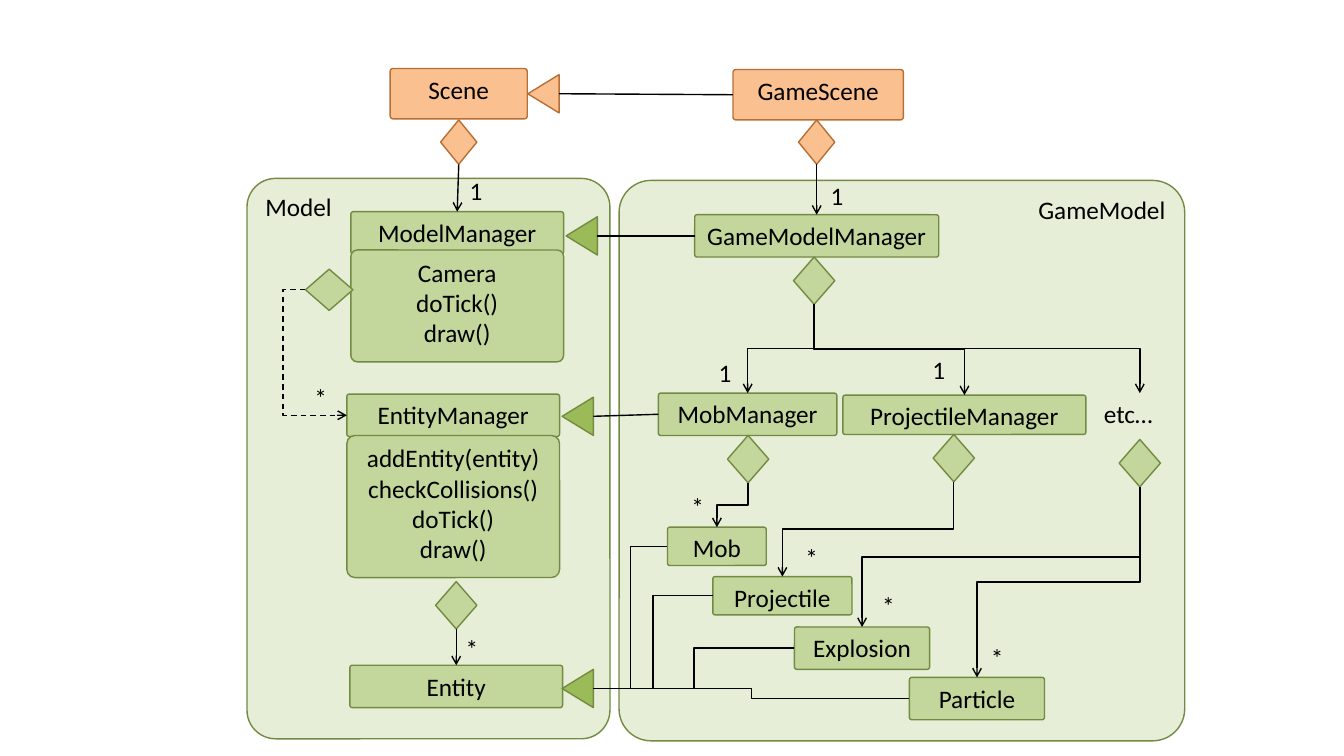
from pptx import Presentation
from pptx.util import Inches, Pt
from pptx.dml.color import RGBColor
from pptx.enum.dml import MSO_LINE
from pptx.enum.shapes import MSO_SHAPE, MSO_CONNECTOR
from pptx.enum.text import PP_ALIGN, MSO_ANCHOR, MSO_AUTO_SIZE
from pptx.oxml.ns import qn
from lxml.etree import SubElement

HUES = {"green": "C3D69B", "leaf": "9BBB59", "moss": "738A42",
        "peach": "FAC090", "rust": "B76F34", "ink": "000000"}
EDGE = {"green": "moss", "leaf": "moss", "peach": "rust"}
FONT = {"name": "Calibri", "size": Pt(18)}
FRAME = {"word_wrap": True, "vertical_anchor": MSO_ANCHOR.TOP}
CELL = Inches(0.1)  # one column or row of the grid


def apply(item, style):
    for key, value in style.items():
        setattr(item, key, value)


def hue(name):
    return RGBColor.from_string(HUES[name])


def span(*cells):
    return [round(c * CELL) for c in cells]


def port(shape, side):
    """Middle of one side of a shape as it shows, in EMU."""
    x, y = shape.left + shape.width / 2, shape.top + shape.height / 2
    turned = shape.rotation % 180 == 90
    wide, high = (shape.height, shape.width) if turned else (shape.width, shape.height)
    dx, dy = {"left": (-1, 0), "right": (1, 0), "top": (0, -1), "bottom": (0, 1)}[side]
    return x + dx * wide / 2, y + dy * high / 2


class Chart:
    def __init__(self, slide):
        self.slide = slide

    def text(self, shape, lines, align, **extra):
        frame = shape.text_frame
        apply(frame, {**FRAME, **extra})
        frame.text = "\n".join(lines)
        for para in frame.paragraphs:
            para.alignment = align
            apply(para.font, FONT)
            para.font.color.rgb = hue("ink")

    def shape(self, kind, place, fill):
        item = self.slide.shapes.add_shape(kind, *span(*place))
        item.shadow.inherit = False
        item.fill.solid()
        item.fill.fore_color.rgb = hue(fill)
        item.line.color.rgb = hue(EDGE[fill])
        item.line.width = Pt(1)
        return item

    def box(self, place, *lines, fill="green", align=PP_ALIGN.CENTER, curve=0.057):
        item = self.shape(MSO_SHAPE.ROUNDED_RECTANGLE, place, fill)
        item.adjustments[0] = curve
        self.text(item, lines, align)
        return item

    def panel(self, place, name, align, curve):
        item = self.box(place, name, align=align, curve=curve)
        tint = item.element.spPr.find(qn("a:solidFill"))[0]
        SubElement(tint, qn("a:alpha"), val="40000")

    def gem(self, mid, top, fill="green", size=(4.1, 4.7), turn=0):
        wide, high = size
        item = self.shape(MSO_SHAPE.DIAMOND, (mid - wide / 2, top, wide, high), fill)
        item.rotation = turn
        return item

    def tip(self, mid, row, fill="leaf"):
        wide, high = 3.8, 3.1
        place = mid - wide / 2, row - high / 2, wide, high
        item = self.shape(MSO_SHAPE.ISOSCELES_TRIANGLE, place, fill)
        item.rotation = 270
        return item

    def note(self, words, left, top, wide=3.2):
        item = self.slide.shapes.add_textbox(*span(left, top, wide, 4))
        self.text(item, [words], PP_ALIGN.LEFT, auto_size=MSO_AUTO_SIZE.SHAPE_TO_FIT_TEXT)
        return item

    def line(self, start, end, bent=False, arrow=False, dash=False, turn=0, bend=None):
        kind = MSO_CONNECTOR.ELBOW if bent else MSO_CONNECTOR.STRAIGHT
        item = self.slide.shapes.add_connector(kind, *map(round, (*start, *end)))
        item.line.color.rgb = hue("ink")
        item.line.width = Pt(1)
        if dash:
            item.line.dash_style = MSO_LINE.DASH
        props = item.element.spPr
        if arrow:
            SubElement(props.get_or_add_ln(), qn("a:tailEnd"), type="arrow")
        if turn:
            props.get_or_add_xfrm().set("rot", str(turn * 60000))
        if bend is not None:
            guides = props.find(qn("a:prstGeom")).get_or_add_avLst()
            SubElement(guides, qn("a:gd"), name="adj1", fmla=f"val {round(bend * 100000)}")
        SubElement(props, qn("a:effectLst"))

    def owns(self, gem, part):
        """Arrow down from a diamond to the part it holds."""
        (x, y), (u, v) = port(gem, "bottom"), port(part, "top")
        if abs(u - x) < CELL / 2:
            return self.line((x, y), (u, v), arrow=True)
        # A level elbow is turned so that it leaves downward.
        side = 1 if u > x else -1
        mx, my, dx, dy = (x + u) / 2, (y + v) / 2, side * (v - y) / 2, side * (u - x) / 2
        self.line((mx + dx, my - dy), (mx - dx, my + dy), bent=True, arrow=True,
                  turn=180 + 90 * side)

    def derives(self, tip, child, bent=False):
        ends = port(tip, "right"), port(child, "left")
        self.line(*ends, bent=bent)


deck = Presentation()
deck.slide_width, deck.slide_height = Inches(13.33), Inches(7.5)
art = Chart(deck.slides.add_slide(deck.slide_layouts[6]))

# Panels
art.panel((24.5, 17.7, 36, 55.6), "Model", PP_ALIGN.LEFT, 0.079)
art.panel((61.4, 17.9, 56.1, 55.6), "GameModel", PP_ALIGN.RIGHT, 0.057)

# Scenes
scene = art.box((38.7, 6.8, 13.6, 5), "Scene", fill="peach")
game = art.box((72.7, 6.9, 16.9, 5), "GameScene", fill="peach")

# Model classes
model = art.box((34.8, 21, 21.1, 4.2), "ModelManager")
art.box((34.8, 24.8, 21.1, 11.1), "Camera", "doTick()", "draw()")
entman = art.box((34.4, 39.1, 21.1, 4.2), "EntityManager")
art.box((34.4, 43.2, 21.1, 14.1),
        "addEntity(entity)", "checkCollisions()", "doTick()", "draw()")
entity = art.box((34.7, 66, 21.1, 4.2), "Entity")

# Game classes
gameman = art.box((68.9, 21.3, 24.2, 4.2), "GameModelManager")
mobman = art.box((65.3, 39, 17.7, 4.2), "MobManager")
shotman = art.box((83.6, 39.2, 24.1, 3.9), "ProjectileManager")
rest = art.note("etc…", 108.5, 39, 9.1)
mob = art.box((66.2, 52.3, 9.8, 3.8), "Mob")
shot = art.box((70.7, 57.2, 13.8, 3.8), "Projectile")
blast = art.box((78.8, 62.2, 13.4, 4.2), "Explosion")
speck = art.box((90.2, 67.2, 13.4, 4.2), "Particle")

# Ownership: diamond centre, top, parts held
for mid, top, parts in [(80.75, 25.5, (mobman, shotman, rest)), (74.2, 43.2, [mob]),
                        (94.6, 43.1, [shot]), (113.05, 43.6, (blast, speck)),
                        (45.25, 57.7, [entity])]:
    gem = art.gem(mid, top)
    for part in parts:
        art.owns(gem, part)
for mid, part in [(45.5, model), (81, gameman)]:
    art.owns(art.gem(mid, 11.9, "peach", (3.6, 4.4)), part)

# Dashed loop from the model manager to the entity manager
side = art.gem(32.65, 26.4, turn=90)
art.line(port(side, "left"), port(entman, "left"), bent=True, arrow=True, dash=True, bend=-0.54)

# Inheritance: triangle centre, row, children
for mid, row, fill, kids in [(53.9, 9.3, "peach", [game]), (57.7, 23.4, "leaf", [gameman]),
                             (57.3, 41.3, "leaf", [mobman]),
                             (57.3, 68.3, "leaf", (mob, shot, blast, speck))]:
    tip = art.tip(mid, row, fill)
    for kid in kids:
        art.derives(tip, kid, bent=len(kids) > 1)

# Counts
for sign, spots in {"1": [(45.6, 16.9), (81.4, 17.4), (70.3, 35), (91.5, 34.7)],
                    "*": [(30.2, 37.4), (45.2, 62.3), (67.6, 48.3), (78.9, 53.3),
                          (86.5, 58.1), (97.3, 63.2)]}.items():
    for left, top in spots:
        art.note(sign, left, top)

deck.save("out.pptx")
